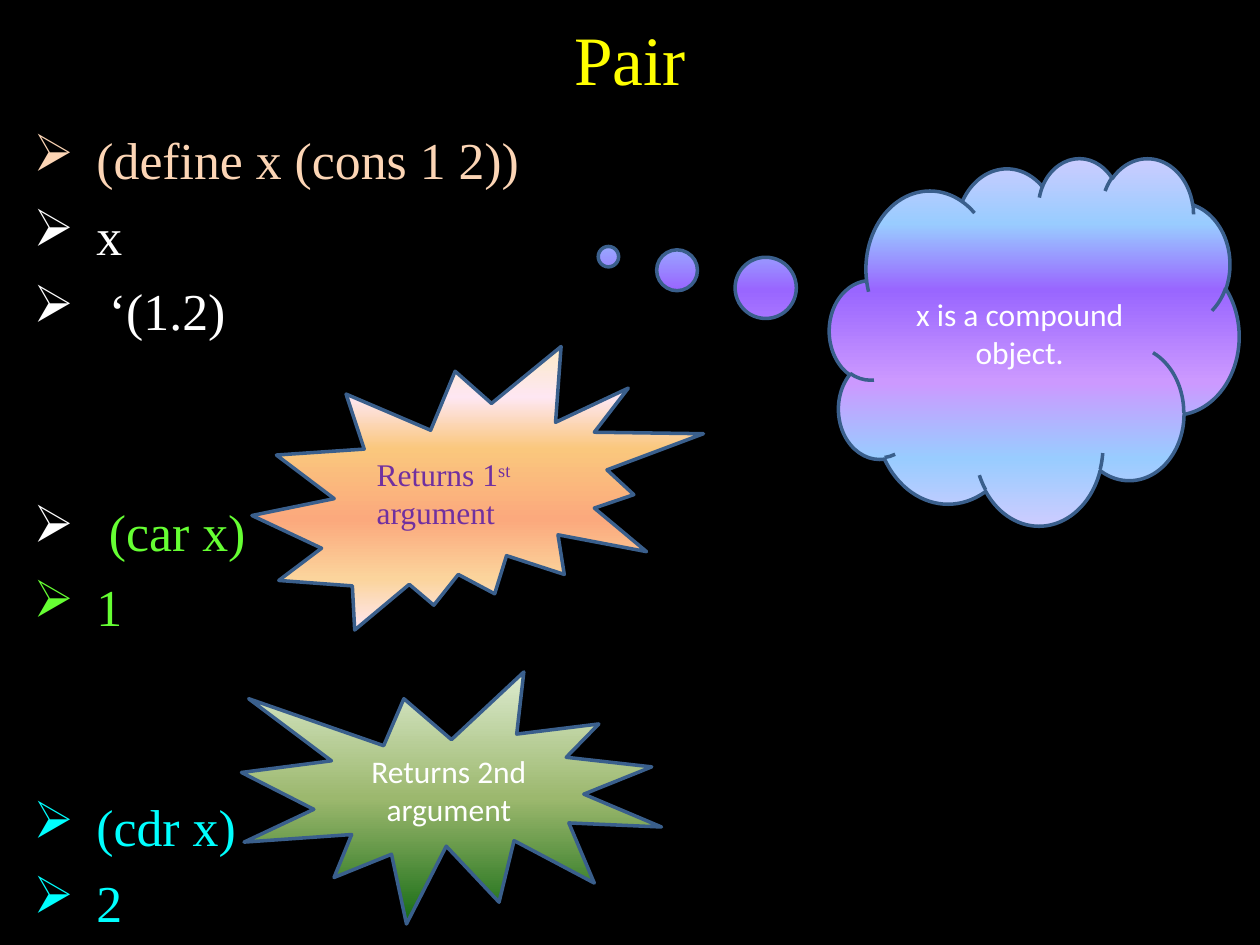
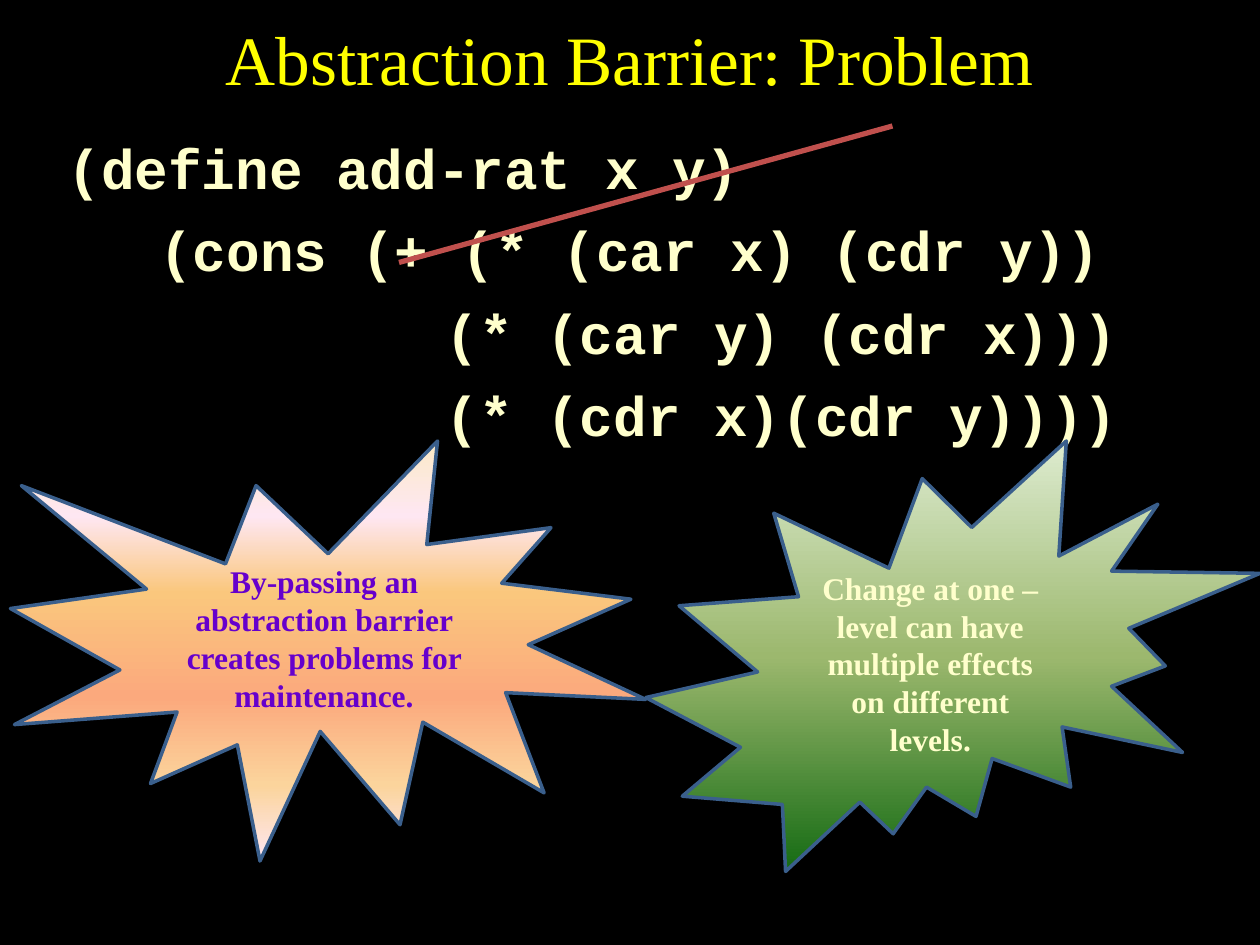
from dataclasses import dataclass

from lxml import etree
from pptx import Presentation
from pptx.dml.color import RGBColor
from pptx.enum.shapes import MSO_CONNECTOR as Connector, MSO_SHAPE as Preset
from pptx.enum.text import MSO_ANCHOR as Anchor, PP_ALIGN as Align
from pptx.oxml.ns import qn
from pptx.util import Inches, Pt


@dataclass(frozen=True)
class Theme:
    background: str = "000000"
    title: str = "FFFF00"
    white: str = "FFFFFF"
    peach: str = "FCD5B5"
    green: str = "66FF33"
    cyan: str = "00FFFF"
    cream: str = "FFFFCC"
    purple: str = "7030A0"
    violet: str = "6600CC"
    outline: str = "3A5F8C"
    strike: str = "C0504D"
    serif: str = "Times New Roman"
    sans: str = "Calibri"
    mono: str = "Courier New"
    title_size: float = 39.6
    list_size: float = 29.6
    code_size: float = 32
    callout_size: float = 18
    list_gap: float = 7.5
    group_gap: float = 90.5
    code_gap: float = 8.8


THEME = Theme()
SLIDE_WIDTH, SLIDE_HEIGHT = Inches(10), Inches(7.5)
COLUMNS, ROWS = 120, 90
TITLE_AREA = (9, 1, 102, 9)
BODY_AREA = (2, 11, 118, 75)

SUNRISE = [(0, "FBEAC7"), (18, "FEE7F2"), (36, "FAC77D"),
           (61, "FBA97D"), (82, "FBD49C"), (100, "FEE7F2")]
MEADOW = [(0, "DDEBCF"), (50, "9CB86E"), (100, "156B13")]
TWILIGHT = [(0, "CCCCFF"), (18, "99CCFF"), (36, "9966FF"),
            (61, "CC99FF"), (82, "99CCFF"), (100, "CCCCFF")]


def across(columns):
    return round(SLIDE_WIDTH * columns / COLUMNS)


def down(rows):
    return round(SLIDE_HEIGHT * rows / ROWS)


def place(area):
    left, top, width, height = area
    return across(left), down(top), across(width), down(height)


def add_run(paragraph, text, font, size, color, bold=False):
    run = paragraph.add_run()
    run.text = text
    run.font.name = font
    run.font.size = Pt(size)
    run.font.bold = bold
    run.font.color.rgb = RGBColor.from_string(color)
    return run


def add_titled_slide(presentation, title):
    slide = presentation.slides.add_slide(presentation.slide_layouts[5])
    shape = slide.shapes.title
    shape.left, shape.top, shape.width, shape.height = place(TITLE_AREA)
    frame = shape.text_frame
    frame.vertical_anchor = Anchor.MIDDLE
    paragraph = frame.paragraphs[0]
    paragraph.alignment = Align.CENTER
    add_run(paragraph, title, THEME.serif, THEME.title_size, THEME.title)
    return slide


def add_body(slide, top_inset):
    frame = slide.shapes.add_textbox(*place(BODY_AREA)).text_frame
    frame.word_wrap = True
    frame.margin_top = Inches(top_inset)
    return frame


def add_line(frame, gap):
    paragraph = frame.paragraphs[0]
    if paragraph.runs:
        paragraph = frame.add_paragraph()
        paragraph.space_before = Pt(gap)
    return paragraph


def indent(paragraph, margin, hanging=0):
    properties = paragraph._p.get_or_add_pPr()
    properties.set("marL", str(Inches(margin)))
    properties.set("indent", str(-Inches(hanging)))
    return properties


def add_bullet(frame, text, color, margin=0.5, gap=THEME.list_gap, bullet_color=None):
    paragraph = add_line(frame, gap)
    properties = indent(paragraph, margin, margin)
    tint = etree.SubElement(properties, qn("a:buClr"))
    etree.SubElement(tint, qn("a:srgbClr"), val=bullet_color or color)
    etree.SubElement(properties, qn("a:buChar"), char="➢")
    add_run(paragraph, text, THEME.serif, THEME.list_size, color)


def add_code(frame, text, margin):
    paragraph = add_line(frame, THEME.code_gap)
    indent(paragraph, margin)
    add_run(paragraph, text, THEME.mono, THEME.code_size, THEME.cream, bold=True)


def fill_downward(shape, stops):
    shape.fill.gradient()
    shape.fill.gradient_angle = 270
    stop_list = shape._element.spPr.find(qn("a:gradFill")).find(qn("a:gsLst"))
    for stop in list(stop_list):
        stop_list.remove(stop)
    for position, color in stops:
        stop = etree.SubElement(stop_list, qn("a:gs"), pos=str(position * 1000))
        etree.SubElement(stop, qn("a:srgbClr"), val=color)


def add_callout(slide, preset, area, stops, alignment=Align.CENTER):
    shape = slide.shapes.add_shape(preset, *place(area))
    shape.shadow.inherit = False
    fill_downward(shape, stops)
    shape.line.color.rgb = RGBColor.from_string(THEME.outline)
    shape.line.width = Pt(2)
    shape.text_frame.vertical_anchor = Anchor.MIDDLE
    shape.text_frame.paragraphs[0].alignment = alignment
    return shape


def write_callout(shape, text, color, font=THEME.serif, bold=False):
    paragraph = shape.text_frame.paragraphs[0]
    return add_run(paragraph, text, font, THEME.callout_size, color, bold)


def add_strike(slide, start, end):
    line = slide.shapes.add_connector(
        Connector.STRAIGHT, across(start[0]), down(start[1]), across(end[0]), down(end[1]))
    line.line.color.rgb = RGBColor.from_string(THEME.strike)
    line.line.width = Pt(3)
    etree.SubElement(line._element.spPr, qn("a:effectLst"))


def build_pair(presentation):
    slide = add_titled_slide(presentation, "Pair")
    body = add_body(slide, 0.1)
    add_bullet(body, "(define x (cons 1 2))", THEME.peach)
    add_bullet(body, "x", THEME.white)
    add_bullet(body, "‘(1.2)", THEME.white, margin=0.6)
    add_bullet(body, "(car x)", THEME.green, margin=0.6,
               gap=THEME.group_gap, bullet_color=THEME.white)
    add_bullet(body, "1", THEME.green)
    add_bullet(body, "(cdr x)", THEME.cyan, gap=THEME.group_gap)
    add_bullet(body, "2", THEME.cyan)

    cloud = add_callout(slide, Preset.CLOUD_CALLOUT, (79, 15, 39, 35), TWILIGHT)
    cloud.adjustments[0] = -1.04
    cloud.adjustments[1] = -0.23
    write_callout(cloud, "x is a compound object.", THEME.white, THEME.sans)

    first = add_callout(slide, Preset.EXPLOSION2, (24, 33, 43, 27), SUNRISE, Align.LEFT)
    write_callout(first, "Returns 1", THEME.purple)
    ordinal = write_callout(first, "st", THEME.purple)
    ordinal.font._element.set("baseline", "30000")
    write_callout(first, " argument", THEME.purple)

    second = add_callout(slide, Preset.EXPLOSION1, (23, 64, 40, 24), MEADOW)
    write_callout(second, "Returns 2nd argument", THEME.white, THEME.sans)


def build_barrier_problem(presentation):
    slide = add_titled_slide(presentation, "Abstraction Barrier: Problem")
    body = add_body(slide, 0.14)
    add_code(body, "(define add-rat x y)", 0.27)
    add_code(body, "(cons (+ (* (car x) (cdr y))", 1)
    add_code(body, "(* (car y) (cdr x)))", 3.27)
    add_code(body, "(* (cdr x)(cdr y))))", 3.27)
    add_strike(slide, (85, 12), (38, 25))

    maintenance = add_callout(slide, Preset.EXPLOSION1, (1, 42, 60.5, 40), SUNRISE)
    write_callout(maintenance,
                  "By-passing an abstraction barrier creates problems for maintenance.",
                  THEME.violet, bold=True)
    effects = add_callout(slide, Preset.EXPLOSION2, (61.5, 42, 58.5, 41), MEADOW)
    write_callout(effects,
                  "Change at one –level can have multiple effects on different levels.",
                  THEME.cream, bold=True)


def main():
    presentation = Presentation()
    presentation.slide_width, presentation.slide_height = SLIDE_WIDTH, SLIDE_HEIGHT
    background = presentation.slide_master.background.fill
    background.solid()
    background.fore_color.rgb = RGBColor.from_string(THEME.background)
    build_pair(presentation)
    build_barrier_problem(presentation)
    presentation.save("out.pptx")


if __name__ == "__main__":
    main()
